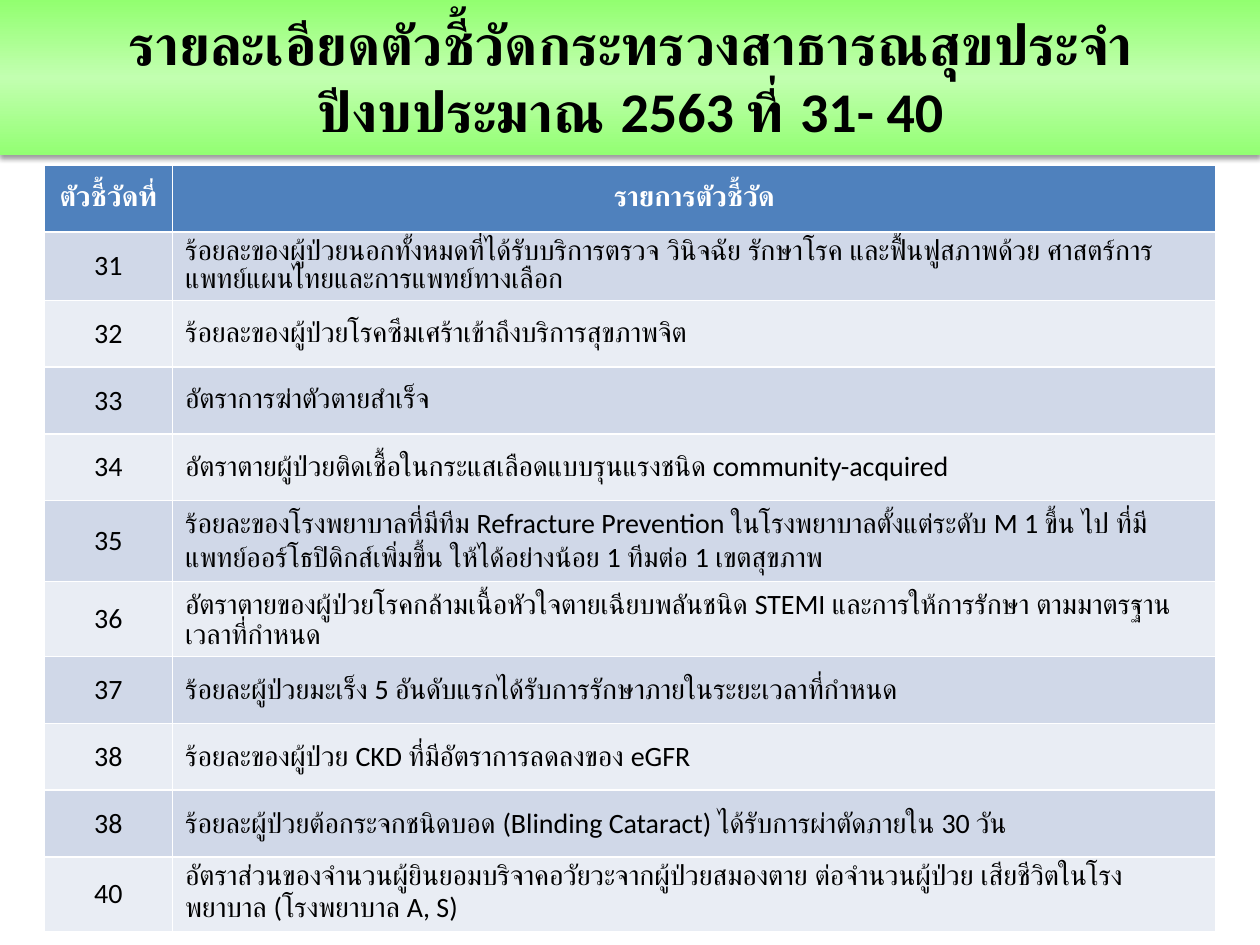
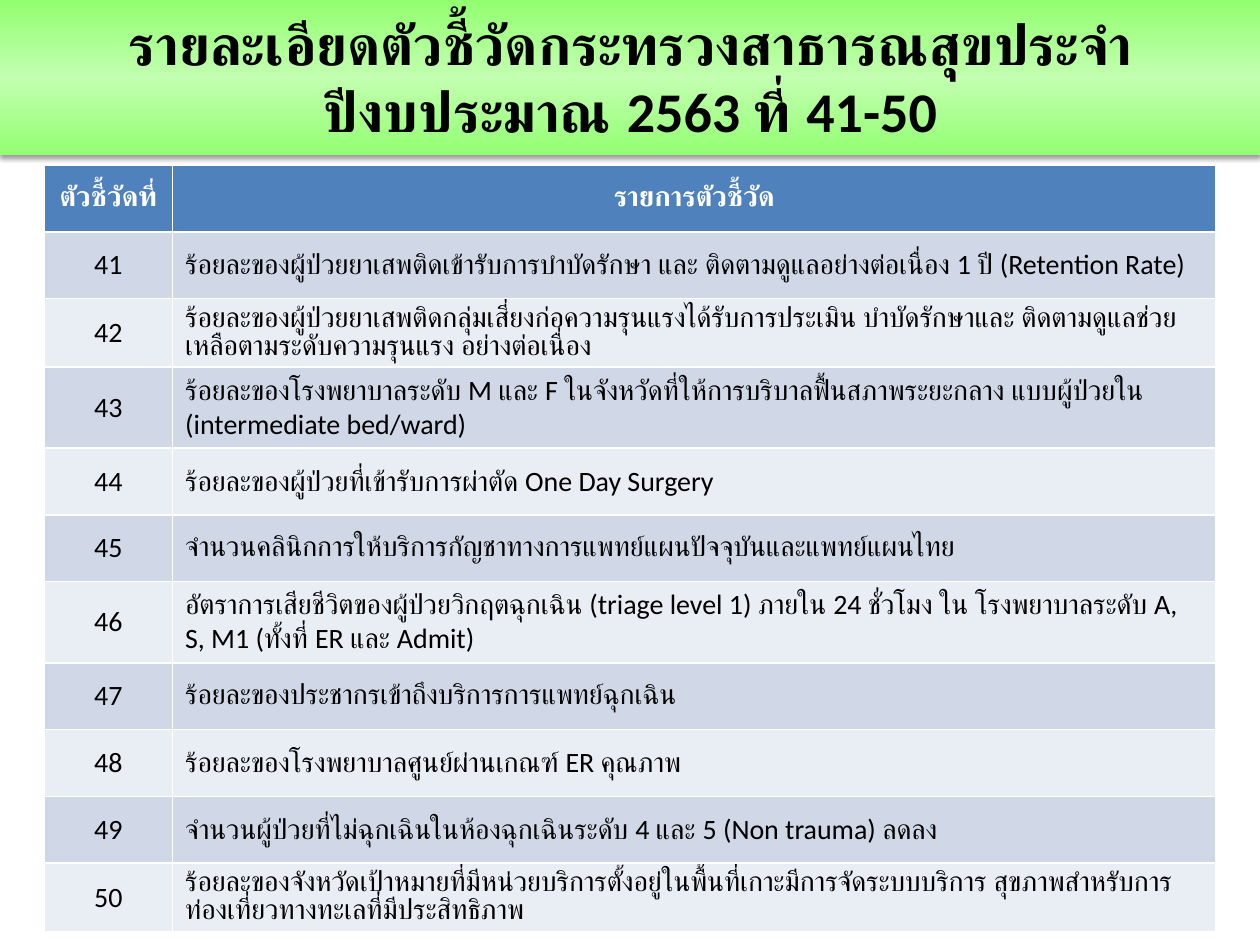
from dataclasses import dataclass

from pptx import Presentation
from pptx.dml.color import RGBColor
from pptx.enum.lang import MSO_LANGUAGE_ID
from pptx.enum.shapes import MSO_SHAPE
from pptx.enum.text import MSO_ANCHOR, MSO_AUTO_SIZE, PP_ALIGN
from pptx.oxml import parse_xml
from pptx.oxml.ns import nsdecls, qn
from pptx.util import Inches, Pt


@dataclass(frozen=True)
class Theme:
    font: str = "Calibri"
    title_size: int = 32
    table_size: int = 16
    text: str = "000000"
    header_text: str = "FFFFFF"
    header_fill: str = "4F81BD"
    row_fills: tuple = ("D0D8E8", "E9EDF4")
    band_stops: tuple = ((0, "92FF70"), (50, "C2FFB0"), (100, "93FF73"))
    shadow: str = "000000"


TITLE = "รายละเอียดตัวชี้วัดกระทรวงสาธารณสุขประจำปีงบประมาณ 2563 ที่ "
HEADERS = ("ตัวชี้วัดที่", "รายการตัวชี้วัด")
COLUMN_WIDTHS = (1.02, 8.28)
ROW_HEIGHT = 0.53

INDICATOR_SLIDES = (
    ("31- 40", (
        ("31", "ร้อยละของผู้ป่วยนอกทั้งหมดที่ได้รับบริการตรวจ วินิจฉัย รักษาโรค และฟื้นฟูสภาพด้วย ศาสตร์การแพทย์แผนไทยและการแพทย์ทางเลือก"),
        ("32", "ร้อยละของผู้ป่วยโรคซึมเศร้าเข้าถึงบริการสุขภาพจิต"),
        ("33", "อัตราการฆ่าตัวตายสำเร็จ"),
        ("34", "อัตราตายผู้ป่วยติดเชื้อในกระแสเลือดแบบรุนแรงชนิด community-acquired"),
        ("35", "ร้อยละของโรงพยาบาลที่มีทีม Refracture Prevention ในโรงพยาบาลตั้งแต่ระดับ M 1 ขึ้น ไป ที่มีแพทย์ออร์โธปิดิกส์เพิ่มขึ้น ให้ได้อย่างน้อย 1 ทีมต่อ 1 เขตสุขภาพ"),
        ("36", "อัตราตายของผู้ป่วยโรคกล้ามเนื้อหัวใจตายเฉียบพลันชนิด STEMI และการให้การรักษา ตามมาตรฐานเวลาที่กำหนด"),
        ("37", "ร้อยละผู้ป่วยมะเร็ง 5 อันดับแรกได้รับการรักษาภายในระยะเวลาที่กำหนด"),
        ("38", "ร้อยละของผู้ป่วย CKD ที่มีอัตราการลดลงของ eGFR"),
        ("38", "ร้อยละผู้ป่วยต้อกระจกชนิดบอด (Blinding Cataract) ได้รับการผ่าตัดภายใน 30 วัน"),
        ("40", "อัตราส่วนของจำนวนผู้ยินยอมบริจาคอวัยวะจากผู้ป่วยสมองตาย ต่อจำนวนผู้ป่วย เสียชีวิตในโรงพยาบาล (โรงพยาบาล A, S)"),
    )),
    ("41-50", (
        ("41", "ร้อยละของผู้ป่วยยาเสพติดเข้ารับการบำบัดรักษา และ ติดตามดูแลอย่างต่อเนื่อง 1 ปี (Retention Rate)"),
        ("42", "ร้อยละของผู้ป่วยยาเสพติดกลุ่มเสี่ยงก่อความรุนแรงได้รับการประเมิน บำบัดรักษาและ ติดตามดูแลช่วยเหลือตามระดับความรุนแรง อย่างต่อเนื่อง"),
        ("43", "ร้อยละของโรงพยาบาลระดับ M และ F ในจังหวัดที่ให้การบริบาลฟื้นสภาพระยะกลาง แบบผู้ป่วยใน (intermediate bed/ward)"),
        ("44", "ร้อยละของผู้ป่วยที่เข้ารับการผ่าตัด One Day Surgery"),
        ("45", "จำนวนคลินิกการให้บริการกัญชาทางการแพทย์แผนปัจจุบันและแพทย์แผนไทย"),
        ("46", "อัตราการเสียชีวิตของผู้ป่วยวิกฤตฉุกเฉิน (triage level 1) ภายใน 24 ชั่วโมง ใน โรงพยาบาลระดับ A, S, M1 (ทั้งที่ ER และ Admit)"),
        ("47", "ร้อยละของประชากรเข้าถึงบริการการแพทย์ฉุกเฉิน"),
        ("48", "ร้อยละของโรงพยาบาลศูนย์ผ่านเกณฑ์ ER คุณภาพ"),
        ("49", "จำนวนผู้ป่วยที่ไม่ฉุกเฉินในห้องฉุกเฉินระดับ 4 และ 5 (Non trauma) ลดลง"),
        ("50", "ร้อยละของจังหวัดเป้าหมายที่มีหน่วยบริการตั้งอยู่ในพื้นที่เกาะมีการจัดระบบบริการ สุขภาพสำหรับการท่องเที่ยวทางทะเลที่มีประสิทธิภาพ"),
    )),
)


class Deck:
    def __init__(self, theme):
        self.theme = theme
        self.presentation = Presentation()
        self.presentation.slide_width = Inches(10)
        self.presentation.slide_height = Inches(7.5)
        self.layout = self.presentation.slide_layouts.get_by_name("Title Only")
        self.slide = None

    def new_slide(self):
        self.slide = self.presentation.slides.add_slide(self.layout)

    def layout_band(self):
        """Draw the green band and move it to the back of the shared layout."""
        band = self.slide.shapes.add_shape(
            MSO_SHAPE.RECTANGLE, 0, 0, self.presentation.slide_width, Inches(1.23))
        band.line.fill.background()
        stops = "".join(
            f'<a:gs pos="{position * 1000}"><a:srgbClr val="{color}"/></a:gs>'
            for position, color in self.theme.band_stops)
        gradient = parse_xml(
            f'<a:gradFill {nsdecls("a")} rotWithShape="1"><a:gsLst>{stops}</a:gsLst>'
            '<a:lin ang="5400000" scaled="0"/></a:gradFill>')
        shadow = parse_xml(
            f'<a:effectLst {nsdecls("a")}><a:outerShdw blurRad="{Pt(3.1)}" '
            f'dist="{Pt(1.6)}" dir="5400000" rotWithShape="0">'
            f'<a:srgbClr val="{self.theme.shadow}"><a:alpha val="38000"/></a:srgbClr>'
            '</a:outerShdw></a:effectLst>')
        properties = band.element.spPr
        properties.find(qn("a:prstGeom")).addnext(gradient)
        properties.append(shadow)
        self.layout.shapes.element.insert(2, band.element)

    def add_text(self, text_frame, text, size, color, bold, alignment):
        paragraph = text_frame.paragraphs[0]
        paragraph.alignment = alignment
        run = paragraph.add_run()
        run.text = text
        formats = {"name": self.theme.font, "size": Pt(size), "bold": bold,
                   "language_id": MSO_LANGUAGE_ID.THAI}
        for name, value in formats.items():
            setattr(run.font, name, value)
        run.font.color.rgb = RGBColor.from_string(color)

    def title(self, text):
        title = self.slide.shapes.title
        places = {"left": 0.43, "top": 0.29, "width": 9.15, "height": 0.64}
        for name, value in places.items():
            setattr(title, name, Inches(value))
        formats = {"word_wrap": True, "auto_size": MSO_AUTO_SIZE.NONE,
                   "vertical_anchor": MSO_ANCHOR.MIDDLE}
        for name, value in formats.items():
            setattr(title.text_frame, name, value)
        self.add_text(title.text_frame, text, self.theme.title_size,
                      self.theme.text, True, PP_ALIGN.CENTER)

    def table(self, rows):
        """Add a table whose first row is the header."""
        table = self.slide.shapes.add_table(
            len(rows), len(COLUMN_WIDTHS), Inches(0.35), Inches(1.31),
            Inches(sum(COLUMN_WIDTHS)), Inches(ROW_HEIGHT * len(rows))).table
        for column, width in zip(table.columns, COLUMN_WIDTHS):
            column.width = Inches(width)
        for row_index, values in enumerate(rows):
            table.rows[row_index].height = Inches(ROW_HEIGHT)
            is_header = row_index == 0
            fill = self.theme.header_fill if is_header else self.theme.row_fills[(row_index - 1) % 2]
            color = self.theme.header_text if is_header else self.theme.text
            for column_index, text in enumerate(values):
                cell = table.cell(row_index, column_index)
                cell.fill.solid()
                cell.fill.fore_color.rgb = RGBColor.from_string(fill)
                cell.vertical_anchor = MSO_ANCHOR.MIDDLE
                centred = is_header or column_index == 0
                self.add_text(cell.text_frame, text, self.theme.table_size, color, is_header,
                              PP_ALIGN.CENTER if centred else PP_ALIGN.LEFT)


def main():
    deck = Deck(Theme())
    for slide_index, (number_range, indicators) in enumerate(INDICATOR_SLIDES):
        deck.new_slide()
        if slide_index == 0:
            deck.layout_band()
        deck.title(TITLE + number_range)
        deck.table((HEADERS, *indicators))
    deck.presentation.save("out.pptx")


if __name__ == "__main__":
    main()
